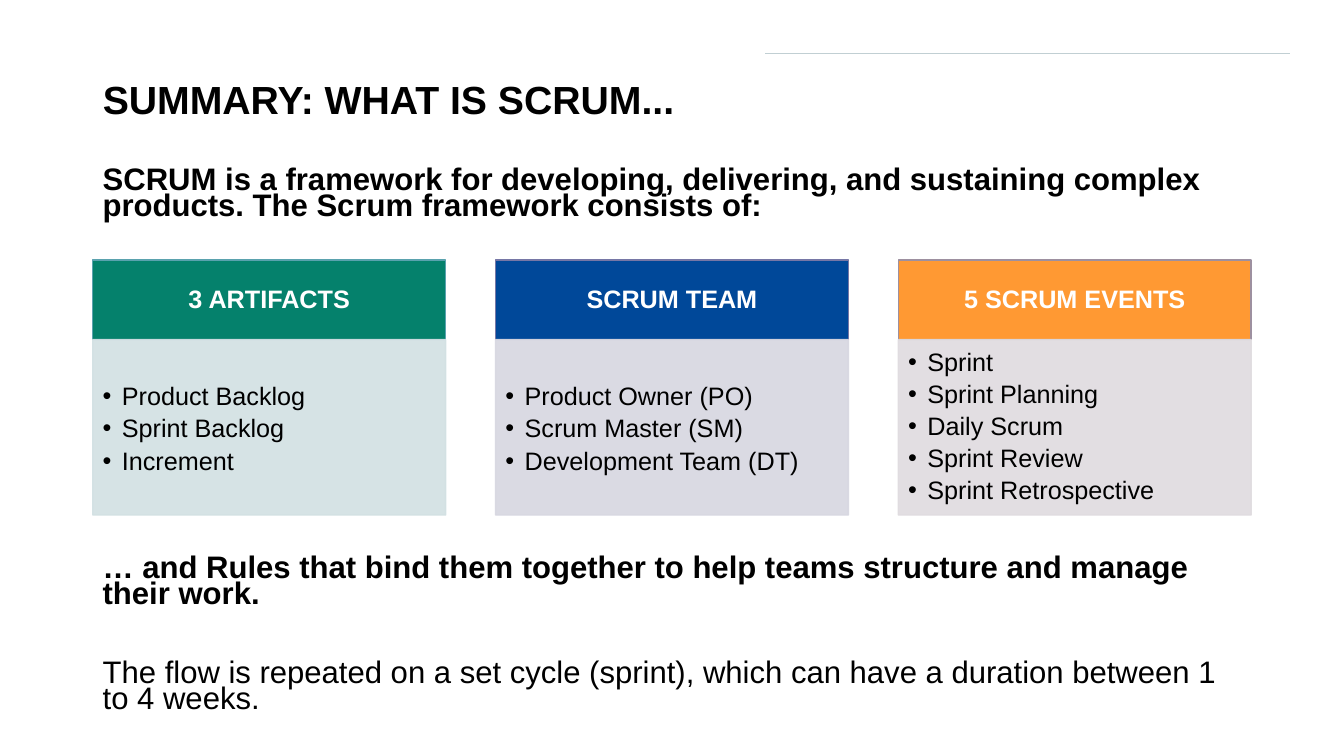
"""Build the Scrum summary slide with three headed columns."""
from lxml import etree
from pptx import Presentation
from pptx import util as u
from pptx.dml.color import RGBColor
from pptx.enum import shapes, text
from pptx.oxml.ns import qn

BLACK = RGBColor(0x00, 0x00, 0x00)
WHITE = RGBColor(0xFF, 0xFF, 0xFF)
RULE = RGBColor(0xC1, 0xCF, 0xD3)
GREEN, GREEN_EDGE, GREEN_PALE = RGBColor(0x05, 0x81, 0x6C), RGBColor(0x5A, 0xA2, 0xAE), RGBColor(0xD2, 0xE0, 0xE3)
BLUE, BLUE_EDGE, BLUE_PALE = RGBColor(0x00, 0x48, 0x99), RGBColor(0x76, 0x77, 0xA6), RGBColor(0xD7, 0xD7, 0xE1)
ORANGE, ORANGE_EDGE, ORANGE_PALE = RGBColor(0xFF, 0x99, 0x33), RGBColor(0x9D, 0x90, 0xA0), RGBColor(0xDF, 0xDB, 0xDF)

LEFT, CONTENT_WIDTH = 0.92, 11.5
COLUMN_WIDTH, COLUMN_STEP = 3.5, 3.995
HEAD_TOP, HEAD_HEIGHT, LIST_HEIGHT = 2.58, 0.79, 1.74

COLUMNS = [
    ("3 ARTIFACTS", GREEN, GREEN_EDGE, GREEN_PALE, 0.44,
     ["Product Backlog", "Sprint Backlog", "Increment"]),
    ("SCRUM TEAM", BLUE, BLUE_EDGE, BLUE_PALE, 0.44,
     ["Product Owner (PO)", "Scrum Master (SM)", "Development Team (DT)"]),
    ("5 SCRUM EVENTS", ORANGE, ORANGE_EDGE, ORANGE_PALE, 0.1,
     ["Sprint", "Sprint Planning", "Daily Scrum", "Sprint Review", "Sprint Retrospective"]),
]
STATEMENTS = [
    ("SCRUM is a framework for developing, delivering, and sustaining complex products. "
     "The Scrum framework consists of:", True, 0),
    ("… and Rules that bind them together to help teams structure and manage their work.", True, 240),
    ("The flow is repeated on a set cycle (sprint), which can have a duration between 1 to 4 weeks.", False, 38),
]


def add_span(para, words, size, color, bold, spacing):
    """Add one formatted run and set the line spacing of its paragraph."""
    para.line_spacing = spacing
    span = para.add_run()
    span.text = words
    span.font.name = "Arial"
    span.font.size = u.Pt(size)
    span.font.bold = bold
    span.font.color.rgb = color


def add_panel(page, left, top, height, fill, edge, insets):
    """Add a bordered rectangle of column width, ready for text."""
    panel = page.shapes.add_shape(shapes.MSO_SHAPE.RECTANGLE, u.Inches(left), u.Inches(top),
                                  u.Inches(COLUMN_WIDTH), u.Inches(height))
    panel.shadow.inherit = False
    panel.fill.solid()
    panel.fill.fore_color.rgb = fill
    panel.line.color.rgb = edge
    panel.line.width = u.Pt(1)
    frame = panel.text_frame
    frame.word_wrap = True
    frame.margin_left, frame.margin_top, frame.margin_right, frame.margin_bottom = map(u.Inches, insets)
    return panel


deck = Presentation()
deck.slide_width, deck.slide_height = u.Inches(13.33), u.Inches(7.5)
page = deck.slides.add_slide(deck.slide_layouts[5])

rule = page.shapes.add_connector(shapes.MSO_CONNECTOR.STRAIGHT, u.Inches(7.59), u.Inches(0.53),
                                 u.Inches(12.79), u.Inches(0.53))
rule.line.color.rgb = RULE
rule.line.width = u.Pt(0.5)
etree.SubElement(rule._element.spPr, qn("a:effectLst"))

title = page.shapes.title
title.left, title.top = u.Inches(LEFT), u.Inches(0.61)
title.width, title.height = u.Inches(CONTENT_WIDTH), u.Inches(0.8)
title.text_frame.auto_size = text.MSO_AUTO_SIZE.NONE
title.text_frame.vertical_anchor = text.MSO_ANCHOR.MIDDLE
para = title.text_frame.paragraphs[0]
para.alignment = text.PP_ALIGN.LEFT
add_span(para, "SUMMARY: WHAT IS SCRUM...", 28, BLACK, True, 0.9)

body = page.shapes.add_textbox(u.Inches(LEFT), u.Inches(1.63), u.Inches(CONTENT_WIDTH), u.Inches(5.74))
body.text_frame.word_wrap = True
for index, (words, bold, gap) in enumerate(STATEMENTS):
    para = body.text_frame.add_paragraph() if index else body.text_frame.paragraphs[0]
    para.space_before = u.Pt(gap)
    add_span(para, words, 22.2, BLACK, bold, 0.7)

for column, (heading, fill, edge, pale, list_inset, items) in enumerate(COLUMNS):
    left = LEFT + column * COLUMN_STEP
    head = add_panel(page, left, HEAD_TOP, HEAD_HEIGHT, fill, edge, (0.14, 0.08, 0.14, 0.08))
    head.text_frame.vertical_anchor = text.MSO_ANCHOR.MIDDLE
    para = head.text_frame.paragraphs[0]
    para.alignment = text.PP_ALIGN.CENTER
    add_span(para, heading, 18, WHITE, True, 0.9)

    listing = add_panel(page, left, HEAD_TOP + HEAD_HEIGHT, LIST_HEIGHT, pale, pale,
                        (0.1, list_inset, 0.14, 0.16))
    for color in listing._element.spPr.iter(qn("a:srgbClr")):
        etree.SubElement(color, qn("a:alpha"), val="90000")
    listing.text_frame.vertical_anchor = text.MSO_ANCHOR.TOP
    for index, item in enumerate(items):
        para = listing.text_frame.add_paragraph() if index else listing.text_frame.paragraphs[0]
        para.alignment = text.PP_ALIGN.LEFT
        para.space_after = u.Pt(3.5)
        properties = para._p.get_or_add_pPr()
        properties.set("marL", str(u.Inches(0.19)))
        properties.set("indent", str(-u.Inches(0.19)))
        etree.SubElement(properties, qn("a:buFont"), typeface="Arial")
        etree.SubElement(properties, qn("a:buChar"), char="•")
        add_span(para, item, 18, BLACK, False, 0.9)

deck.save("out.pptx")
